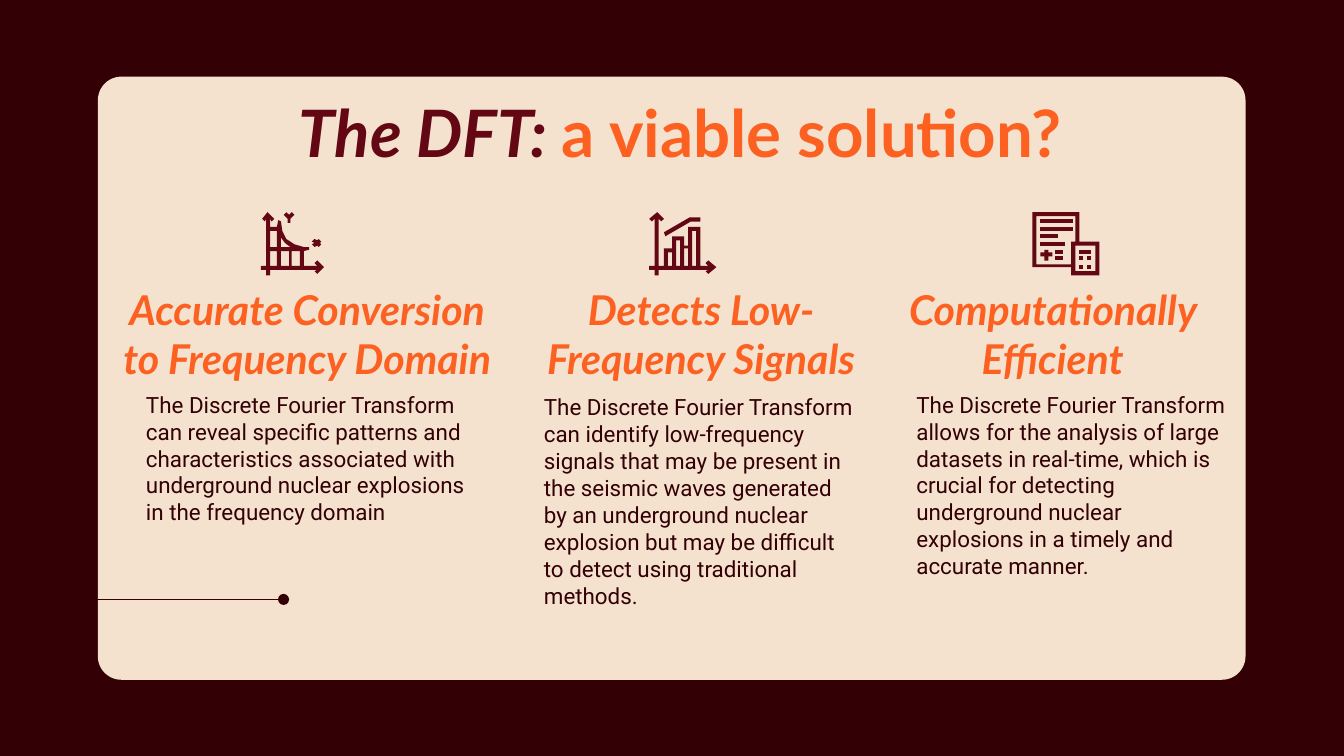
import pptx
import pptx.dml.color
import pptx.enum.shapes
import pptx.enum.text
import pptx.oxml.xmlchemy
import pptx.util

Cm = pptx.util.Cm
ALIGN = pptx.enum.text.PP_ALIGN
ANCHOR = pptx.enum.text.MSO_ANCHOR
DARK, MAROON, ORANGE, CREAM = "330005", "640714", "FC6121", "F4E2CE"
UNIT = Cm(0.0254)

TITLE_FONT = dict(name="Lato", size=pptx.util.Pt(35), bold=True)
HEAD_FONT = dict(name="Lato", size=pptx.util.Pt(22), bold=True, italic=True)
BODY_FONT = dict(name="Roboto", size=pptx.util.Pt(12))
FRAME = dict(word_wrap=True, auto_size=pptx.enum.text.MSO_AUTO_SIZE.NONE,
             **{"margin_" + side: Cm(0.25) for side in ("left", "top", "right", "bottom")})


def rect(x, y, w, h):
    """Return the corners of a rectangle."""
    return [(x, y), (x, y + h), (x + w, y + h), (x + w, y)]


CURVE_ICON = [
    [[(5, 0), (1, 5), (3, 7), (4, 5), (4, 40), (0, 40), (0, 43), (4, 43), (4, 47), (7, 47),
      (7, 43), (42, 43), (40, 44), (42, 46), (47, 41), (42, 36), (40, 38), (42, 40), (32, 40),
      (32, 29), (36, 28), (36, 26), (32, 26), (25, 24.4), (19.4, 20.2), (15.8, 14.2), (15, 7),
      (13, 6), (12, 11), (7, 11), (7, 5), (8, 7), (10, 5)],
     rect(7, 14, 5, 12), [(15, 19), (18, 23), (22, 26), (15, 26)],
     rect(7, 29, 5, 11), rect(15, 29, 6, 11), rect(23, 29, 6, 11)],
    [[(40, 20), (38, 22), (40, 23), (38, 24), (40, 26), (42, 25), (43, 26), (45, 24),
      (44, 23), (45, 22), (43, 20), (42, 21)]],
    [[(19, 0), (17, 2), (20, 5), (20, 8), (22, 8), (22, 5), (25, 2), (23, 0), (21, 2)]],
]
CHART_ICON = [
    [[(6, 0), (0, 5), (2, 7), (4, 5), (4, 40), (0, 40), (0, 43), (4, 43), (4, 47), (7, 47),
      (7, 43), (44, 43), (42, 44), (44, 46), (50, 41), (44, 36), (42, 38), (44, 40), (38, 40),
      (38, 11), (29, 11), (29, 25), (26, 25), (26, 18), (17, 18), (17, 27), (11, 27), (11, 40),
      (7, 40), (7, 5), (9, 7), (11, 5)],
     rect(14, 30, 3, 10), rect(20, 21, 3, 19), rect(26, 27, 3, 13), rect(32, 14, 3, 26)],
    [[(30, 4), (11, 15), (12, 18), (31, 7), (38, 7), (38, 4)]],
]
REPORT_ICON = [
    [[(0, 0), (0, 41), (29, 41), (29, 47), (50, 47), (50, 22), (35, 22), (35, 0)],
     [(32, 3), (32, 22), (29, 22), (29, 39), (3, 39), (3, 3)], rect(32, 25, 15, 19)],
    [[(9, 28), (9, 30), (6, 30), (6, 33), (9, 33), (9, 36), (12, 36), (12, 33), (15, 33),
      (15, 30), (12, 30), (12, 28)]],
    *[[rect(x, y, 3, 3)] for x in (35, 41) for y in (33, 39)],
    *[[rect(x, y, w, 3)] for x, y, w in (
        (35, 28, 9), (6, 5, 24), (6, 11, 24), (6, 16, 13), (6, 22, 18), (17, 28, 6), (17, 33, 6))],
]


def apply(obj, fmt):
    """Set every attribute of a format dict on an object."""
    for key, value in fmt.items():
        setattr(obj, key, value)


def paint(fmt, color):
    """Give a fill a solid hex colour."""
    fmt.solid()
    fmt.fore_color.rgb = pptx.dml.color.RGBColor.from_string(color)


def write(sp, runs, font, align=ALIGN.LEFT, anchor=ANCHOR.TOP, indent=0):
    """Fill a shape with one paragraph of (text, format, colour) runs."""
    tf = sp.text_frame
    apply(tf, dict(FRAME, vertical_anchor=anchor))
    p = tf.paragraphs[0]
    p.alignment = align
    p._p.get_or_add_pPr().set("marL", str(int(indent)))
    for text, fmt, color in runs:
        r = p.add_run()
        r.text = text
        apply(r.font, {**font, **fmt})
        paint(r.font.fill, color)


def card(s, left, top, width, height):
    """Draw the rounded panel behind the title, with its dotted line."""
    sp = s.shapes.add_shape(pptx.enum.shapes.MSO_SHAPE.ROUNDED_RECTANGLE,
                            Cm(left), Cm(top), Cm(width), Cm(height))
    sp.adjustments[0] = 0.039
    sp.shadow.inherit = False
    paint(sp.fill, CREAM)
    sp.line.fill.background()
    s.shapes.title._element.addprevious(sp._element)
    y = Cm(top + 9.88)
    ln = s.shapes.add_connector(pptx.enum.shapes.MSO_CONNECTOR.STRAIGHT,
                                Cm(left - 0.55), y, Cm(left + 3.51), y)
    ln.line.width = pptx.util.Pt(0.75)
    paint(ln.line.fill, DARK)
    for tag in ("a:headEnd", "a:tailEnd"):
        end = pptx.oxml.xmlchemy.OxmlElement(tag)
        end.set("type", "oval")
        ln.line._get_or_add_ln().append(end)
    ln._element.spPr.append(pptx.oxml.xmlchemy.OxmlElement("a:effectLst"))


def title(s, left, top, width, height):
    """Place the two-coloured title."""
    sp = s.shapes.title
    apply(sp, dict(left=Cm(left), top=Cm(top), width=Cm(width), height=Cm(height)))
    write(sp, [("The DFT: ", dict(italic=True), MAROON),
               ("a viable solution?", dict(italic=False), ORANGE)], TITLE_FONT, ALIGN.CENTER)


def icon(s, left, top, parts):
    """Draw and group outlines, each a list of contours."""
    outlines = []
    for first, *holes in parts:
        fb = s.shapes.build_freeform(*first[0], scale=UNIT)
        fb.add_line_segments(first[1:])
        for hole in holes:
            fb.move_to(*hole[0])
            fb.add_line_segments(hole[1:])
        sp = fb.convert_to_shape(Cm(left), Cm(top))
        sp.shadow.inherit = False
        paint(sp.fill, MAROON)
        sp.line.fill.background()
        outlines.append(sp)
    s.shapes.add_group_shape(outlines)


def column(s, left, top, width, parts, icon_dx, heading, body, body_box):
    """Stack an icon, a heading and a text below it."""
    icon(s, left + icon_dx, top, parts)
    sp = s.shapes.add_textbox(Cm(left), Cm(top + 2.01), Cm(width), Cm(1.47))
    write(sp, [(heading, {}, ORANGE)], HEAD_FONT, ALIGN.CENTER, ANCHOR.BOTTOM)
    dx, dy, w, h = body_box
    sp = s.shapes.add_textbox(Cm(left + dx), Cm(top + dy), Cm(w), Cm(h))
    write(sp, [(body, {}, DARK)], BODY_FONT, indent=Cm(0.38))


def main():
    """Build the slide and save it."""
    prs = pptx.Presentation()
    apply(prs, dict(slide_width=Cm(25.4), slide_height=Cm(14.29)))
    s = prs.slides.add_slide(prs.slide_layouts[5])
    paint(s.background.fill, DARK)
    card(s, 1.85, 1.45, 21.69, 11.4)
    title(s, 2.16, 1.5, 21.41, 1.6)
    columns = [
        (2.01, 7.59, CURVE_ICON, 2.92, "Accurate Conversion to Frequency Domain",
         "The Discrete Fourier Transform can reveal specific patterns and characteristics "
         "associated with underground nuclear explosions in the frequency domain",
         (0.12, 3.13, 7.01, 4.39)),
        (9.58, 7.34, CHART_ICON, 2.69, "Detects Low-Frequency Signals",
         "The Discrete Fourier Transform can identify low-frequency signals that may be present "
         "in the seismic waves generated by an underground nuclear explosion but may be "
         "difficult to detect using traditional methods.",
         (0.07, 3.18, 6.83, 3.78)),
        (16.87, 6.05, REPORT_ICON, 2.64, "Computationally Efficient",
         "The Discrete Fourier Transform allows for the analysis of large datasets in real-time, "
         "which is crucial for detecting underground nuclear explosions in a timely and accurate "
         "manner.",
         (-0.18, 3.13, 6.73, 5.46)),
    ]
    for left, width, *rest in columns:
        column(s, left, 4.01, width, *rest)
    prs.save("out.pptx")


if __name__ == "__main__":
    main()
